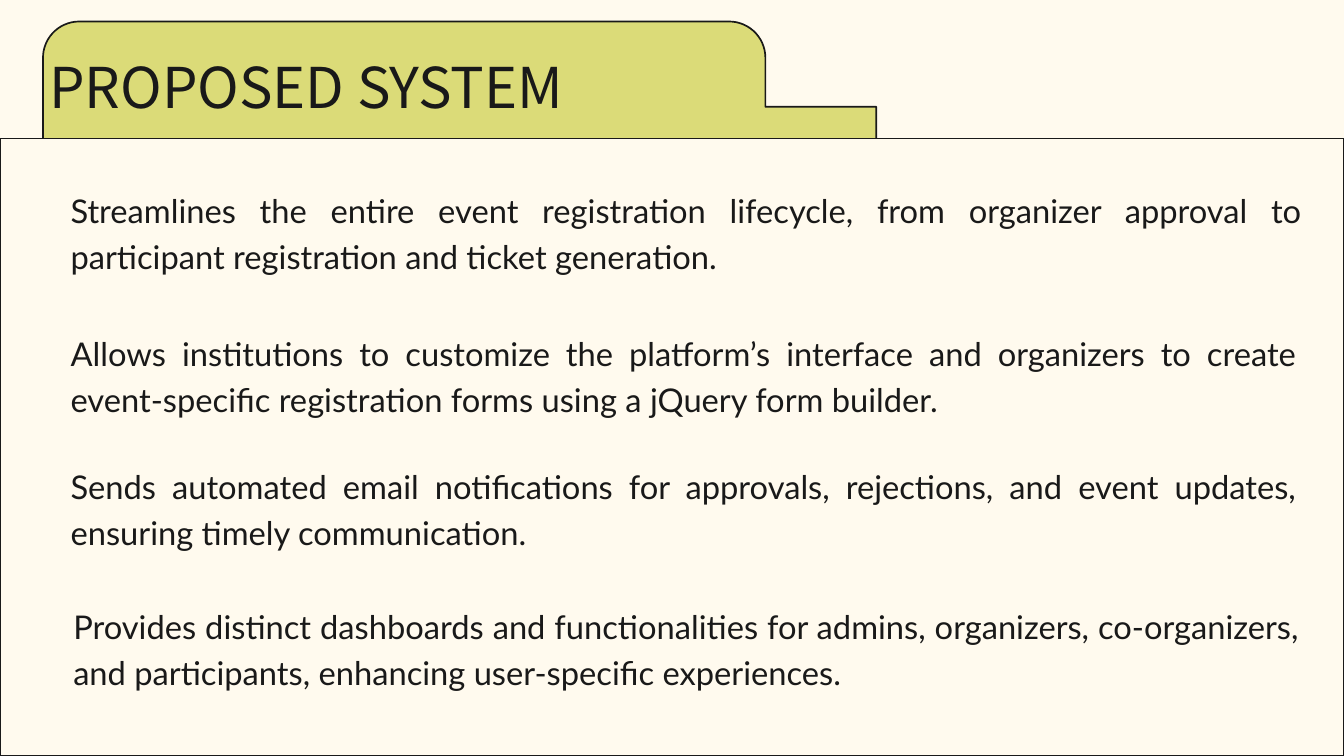
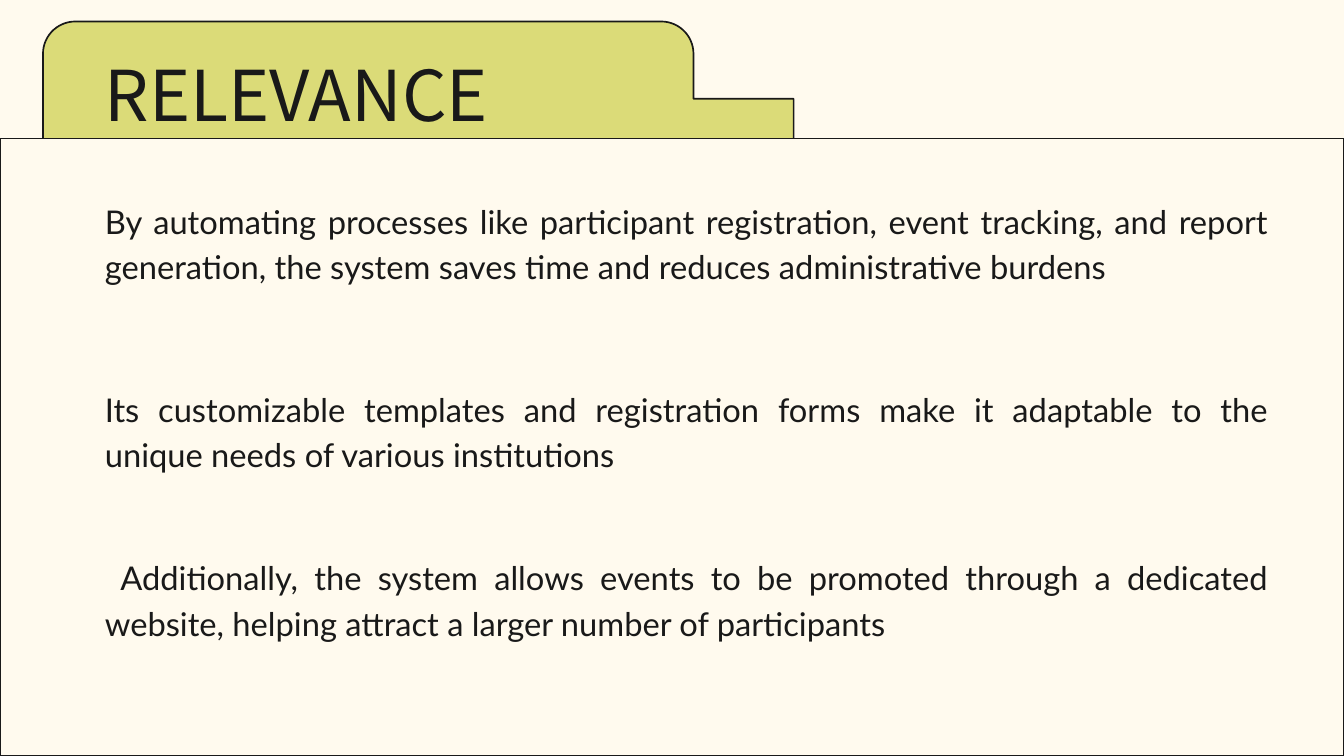
import math
from dataclasses import dataclass

from pptx import Presentation
from pptx import util as u
from pptx.dml.color import RGBColor
from pptx.enum import shapes, text

PX = 9144  # EMU in one px, 100 px to the inch
WIDTH, HEIGHT = 2000, 1125
TAB_LEFT, TAB_TOP, PANEL_TOP = 64, 32, 206
TITLE_ONLY = 5


@dataclass(frozen=True)
class Theme:
    cream: RGBColor = RGBColor(0xFF, 0xFA, 0xEE)
    olive: RGBColor = RGBColor(0xDB, 0xDB, 0x78)
    ink: RGBColor = RGBColor(0x19, 0x19, 0x19)
    title_font: str = "Noto Sans CJK KR"
    body_font: str = "Lato"
    body_size: float = 35
    body_leading: float = 49
    tab_line: float = 1.8
    panel_line: float = 1.5


theme = Theme()

# tab: corner radius, step x, step y, right, bottom
# title: left, top, width, height, size, leading
# points: left, top, width, first-line indent, wording
PAGES = [
    {
        "tab": (54, 1139, 159, 1304, 341),
        "title": ("PROPOSED SYSTEM", 73, 95, 949, 87, 60.2, 60.2),
        "points": [
            (105, 274, 1833, 0, "Streamlines the entire event registration lifecycle, from organizer "
             "approval to participant registration and ticket generation."),
            (105, 487, 1825, 0, "Allows institutions to customize the platform’s interface and organizers "
             "to create event-specific registration forms using a jQuery form builder."),
            (105, 685, 1825, 0, "Sends automated email notifications for approvals, rejections, and event "
             "updates, ensuring timely communication."),
            (109, 894, 1825, 0, "Provides distinct dashboards and functionalities for admins, organizers, "
             "co-organizers, and participants, enhancing user-specific experiences."),
        ],
    },
    {
        "tab": (48, 1032, 147, 1181, 310),
        "title": ("RELEVANCE", 156, 97, 880, 109, 75, 75),
        "points": [
            (156, 290, 1732, 0, "By automating processes like participant registration, event tracking, and "
             "report generation, the system saves time and reduces administrative burdens"),
            (156, 570, 1732, 0, "Its customizable templates and registration forms make it adaptable to the "
             "unique needs of various institutions"),
            (156, 821, 1732, 23, "Additionally, the system allows events to be promoted through a dedicated "
             "website, helping attract a larger number of participants"),
        ],
    },
]


def paint(shape, fill, line_width):
    shape.shadow.inherit = False
    shape.fill.solid()
    shape.fill.fore_color.rgb = fill
    shape.line.color.rgb = theme.ink
    shape.line.width = u.Pt(line_width)


def write(box, wording, font, size, leading, align):
    """Fill a box with one paragraph, without insets."""
    frame = box.text_frame
    frame.text = wording
    frame.word_wrap = True
    frame.auto_size = text.MSO_AUTO_SIZE.NONE
    frame.vertical_anchor = text.MSO_ANCHOR.TOP
    frame.margin_left = frame.margin_top = frame.margin_right = frame.margin_bottom = 0
    para = frame.paragraphs[0]
    para.alignment = align
    para.line_spacing = u.Pt(leading)
    for span in para.runs:
        span.font.name = font
        span.font.size = u.Pt(size)
        span.font.color.rgb = theme.ink
    return para


deck = Presentation()
deck.slide_width, deck.slide_height = WIDTH * PX, HEIGHT * PX
backdrop = deck.slide_master.background.fill
backdrop.solid()
backdrop.fore_color.rgb = theme.cream

for content in PAGES:
    page = deck.slides.add_slide(deck.slide_layouts[TITLE_ONLY])

    # Folder tab: two rounded top corners, then a step down to the right
    radius, step_x, step_y, right, bottom = content["tab"]
    outline = []
    for centre_x, start in ((TAB_LEFT + radius, 180), (step_x - radius, 270)):
        for degrees in range(start, start + 91, 6):
            angle = math.radians(degrees)
            outline.append((centre_x + radius * math.cos(angle),
                            TAB_TOP + radius + radius * math.sin(angle)))
    outline += [(step_x, step_y), (right, step_y), (right, bottom)]
    builder = page.shapes.build_freeform(TAB_LEFT * PX, bottom * PX)
    builder.add_line_segments([(round(x * PX), round(y * PX)) for x, y in outline])
    paint(builder.convert_to_shape(), theme.olive, theme.tab_line)

    panel = page.shapes.add_shape(shapes.MSO_SHAPE.RECTANGLE, 0, PANEL_TOP * PX,
                                  WIDTH * PX, (HEIGHT - PANEL_TOP) * PX)
    paint(panel, theme.cream, theme.panel_line)

    wording, left, top, width, height, size, leading = content["title"]
    title = page.shapes.title
    page.shapes.element.append(title.element)  # bring in front of the tab
    title.left, title.top = left * PX, top * PX
    title.width, title.height = width * PX, height * PX
    write(title, wording, theme.title_font, size, leading, text.PP_ALIGN.LEFT)

    for left, top, width, indent, wording in content["points"]:
        box = page.shapes.add_textbox(left * PX, top * PX, width * PX, 138 * PX)
        para = write(box, wording, theme.body_font, theme.body_size,
                     theme.body_leading, text.PP_ALIGN.JUSTIFY)
        if indent:
            para._p.get_or_add_pPr().set("indent", str(indent * PX))

deck.save("out.pptx")
